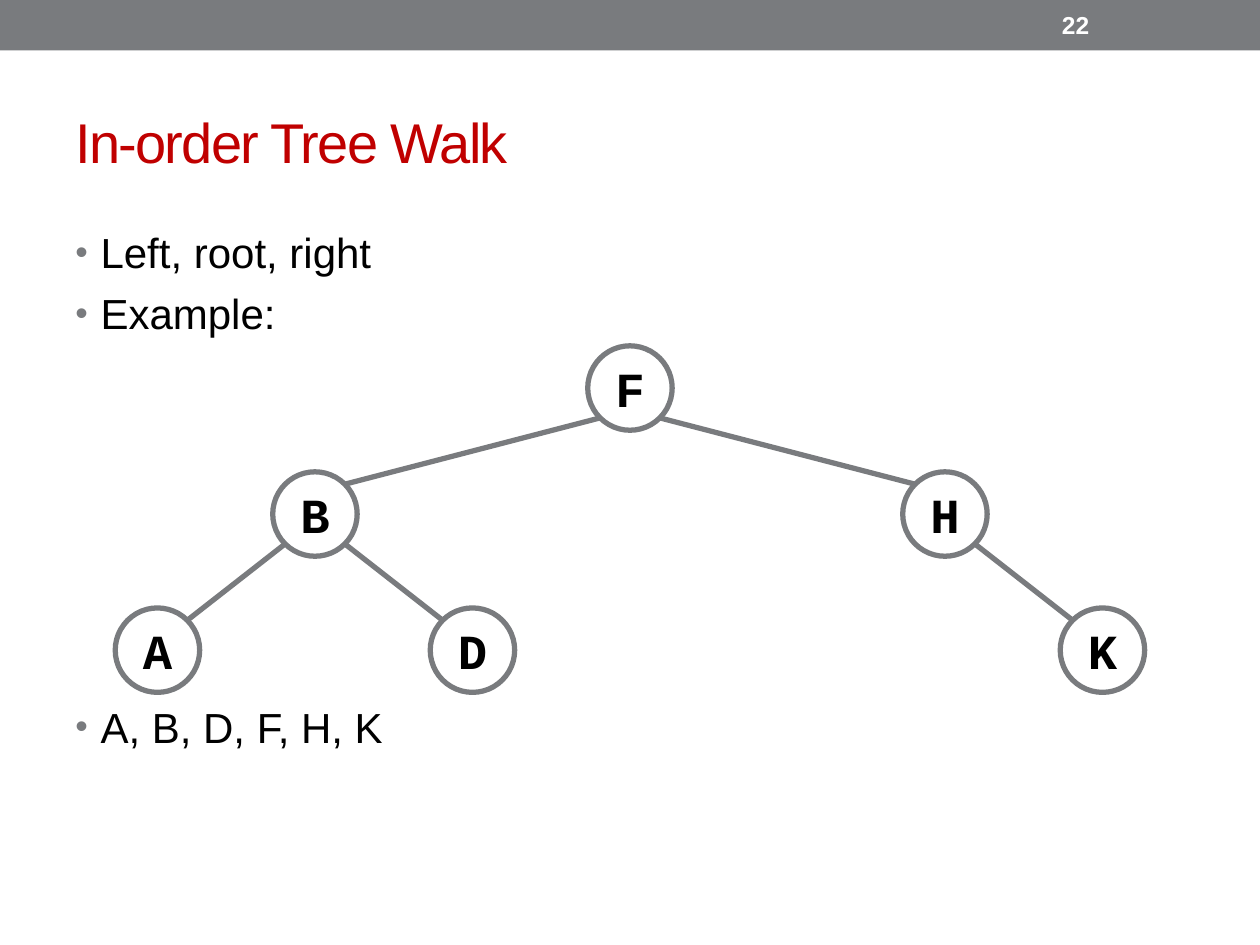
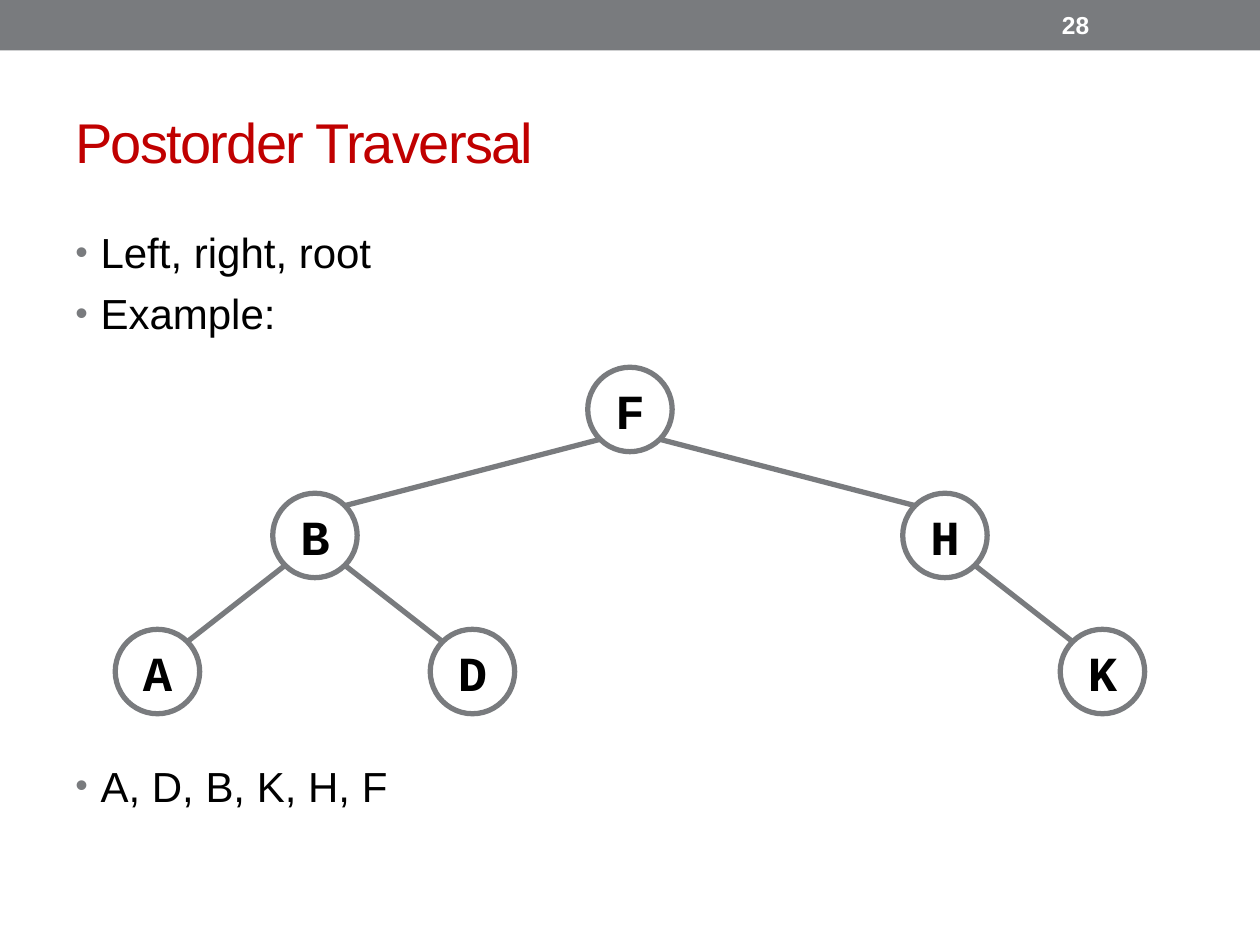
from lxml import etree
from pptx import Presentation
from pptx import util as u
from pptx.dml.color import RGBColor
from pptx.enum import shapes, text
from pptx.oxml import ns

GREY, RED, BLACK, WHITE = "797B7E", "C00000", "000000", "FFFFFF"
NODE_SIZE = 0.67
LEVEL_DROPS = (0, 1, 2.08)
NODES = {"F": (5, 0), "B": (2.5, 1), "H": (7.5, 1),
         "K": (8.75, 2), "D": (3.75, 2), "A": (1.25, 2)}
EDGES = ("BA", "BD", "FB", "FH", "HK")
BULLET_GAP = 6
LINE_PITCH = 33.6


def color(hex_code):
    """Turn a hex string into a colour."""
    return RGBColor.from_string(hex_code)


def write(paragraph, words, size=24, face="Arial", ink=BLACK, bold=False,
          align=None, spacing=None):
    """Put formatted words into a paragraph."""
    run = paragraph.add_run()
    run.text = words
    run.font.size, run.font.name, run.font.bold = u.Pt(size), face, bold
    run.font.color.rgb = color(ink)
    if align is not None:
        paragraph.alignment = align
    if spacing is not None:
        run.font._element.set("spc", str(spacing))


def add_box(slide, left, top, width, height, anchor=text.MSO_ANCHOR.TOP):
    """Add a wrapping text box and return its text frame."""
    frame = slide.shapes.add_textbox(*map(u.Inches, (left, top, width, height))).text_frame
    frame.word_wrap = True
    frame.vertical_anchor = anchor
    return frame


def add_bullet_mark(paragraph):
    """Give a paragraph a grey hanging bullet."""
    props = paragraph._p.get_or_add_pPr()
    props.set("marL", str(u.Inches(0.2)))
    props.set("indent", str(-u.Inches(0.2)))
    tint = etree.SubElement(props, ns.qn("a:buClr"))
    etree.SubElement(tint, ns.qn("a:srgbClr"), val=GREY)
    etree.SubElement(props, ns.qn("a:buSzPct"), val="85000")
    etree.SubElement(props, ns.qn("a:buFont"), typeface="Arial")
    etree.SubElement(props, ns.qn("a:buChar"), char="•")


def add_header(slide, title, number):
    """Draw the top band, the slide number and the title."""
    band = slide.shapes.add_shape(shapes.MSO_SHAPE.RECTANGLE, 0, 0, u.Inches(10), u.Inches(0.4))
    band.shadow.inherit = False
    band.fill.solid()
    band.fill.fore_color.rgb = color(GREY)
    band.line.fill.background()
    heading = add_box(slide, 0.5, 0.58, 9, 1.08, text.MSO_ANCHOR.MIDDLE)
    write(heading.paragraphs[0], title, size=32, ink=RED, spacing=-100)
    page = add_box(slide, 8.33, 0.02, 1.17, 0.36, text.MSO_ANCHOR.MIDDLE)
    write(page.paragraphs[0], number, size=14, ink=WHITE, bold=True)


def add_bullets(slide, visit_rule, visit_order, tree_lines):
    """List the rule and, below room for the tree, the resulting order."""
    frame = add_box(slide, 0.5, 1.75, 9, 5.33)
    gaps = (0, BULLET_GAP, BULLET_GAP + tree_lines * LINE_PITCH)
    for index, (words, gap) in enumerate(zip((visit_rule, "Example:", visit_order), gaps)):
        paragraph = frame.add_paragraph() if index else frame.paragraphs[0]
        add_bullet_mark(paragraph)
        paragraph.space_before = u.Pt(gap)
        write(paragraph, words)


def add_node(tree, letter, center_x, center_y):
    """Draw one lettered circle."""
    corner = (center_x - NODE_SIZE / 2, center_y - NODE_SIZE / 2)
    node = tree.shapes.add_shape(shapes.MSO_SHAPE.OVAL,
                                 *map(u.Inches, (*corner, NODE_SIZE, NODE_SIZE)))
    node.shadow.inherit = False
    node.fill.solid()
    node.fill.fore_color.rgb = color(WHITE)
    node.line.color.rgb = color(GREY)
    node.line.width = u.Pt(3)
    node.text_frame.word_wrap = False
    node.text_frame.vertical_anchor = text.MSO_ANCHOR.MIDDLE
    write(node.text_frame.paragraphs[0], letter, size=28, face="Courier New",
          bold=True, align=text.PP_ALIGN.CENTER)


def add_edge(tree, parent, child):
    """Link the diagonal points of a parent circle and a child circle."""
    reach = NODE_SIZE / 2 * 0.5 ** 0.5
    side = reach if child[0] > parent[0] else -reach
    ends = (parent[0] + side, parent[1] + reach, child[0] - side, child[1] - reach)
    edge = tree.shapes.add_connector(shapes.MSO_CONNECTOR.STRAIGHT, *map(u.Inches, ends))
    edge.line.color.rgb = color(GREY)
    edge.line.width = u.Pt(3)
    etree.SubElement(edge._element.spPr, ns.qn("a:effectLst"))


def add_tree(slide, root_y):
    """Draw the grouped binary tree with its root centred at root_y."""
    tree = slide.shapes.add_group_shape()
    centers = {letter: (x, root_y + LEVEL_DROPS[level])
               for letter, (x, level) in NODES.items()}
    for letter, center in centers.items():
        add_node(tree, letter, *center)
    for parent, child in EDGES:
        add_edge(tree, centers[parent], centers[child])


def add_walk_slide(deck, title, number, visit_rule, visit_order, root_y, tree_lines):
    """Build one slide that explains a tree walk."""
    slide = deck.slides.add_slide(deck.slide_layouts[6])
    add_header(slide, title, number)
    add_bullets(slide, visit_rule, visit_order, tree_lines)
    add_tree(slide, root_y)


def main():
    """Build and save the deck."""
    deck = Presentation()
    deck.slide_width, deck.slide_height = u.Inches(10), u.Inches(7.5)
    add_walk_slide(deck, "In-order Tree Walk", "22", "Left, root, right",
                   "A, B, D, F, H, K", root_y=3.08, tree_lines=6)
    add_walk_slide(deck, "Postorder Traversal", "28", "Left, right, root",
                   "A, D, B, K, H, F", root_y=3.25, tree_lines=7)
    deck.save("out.pptx")


if __name__ == "__main__":
    main()
